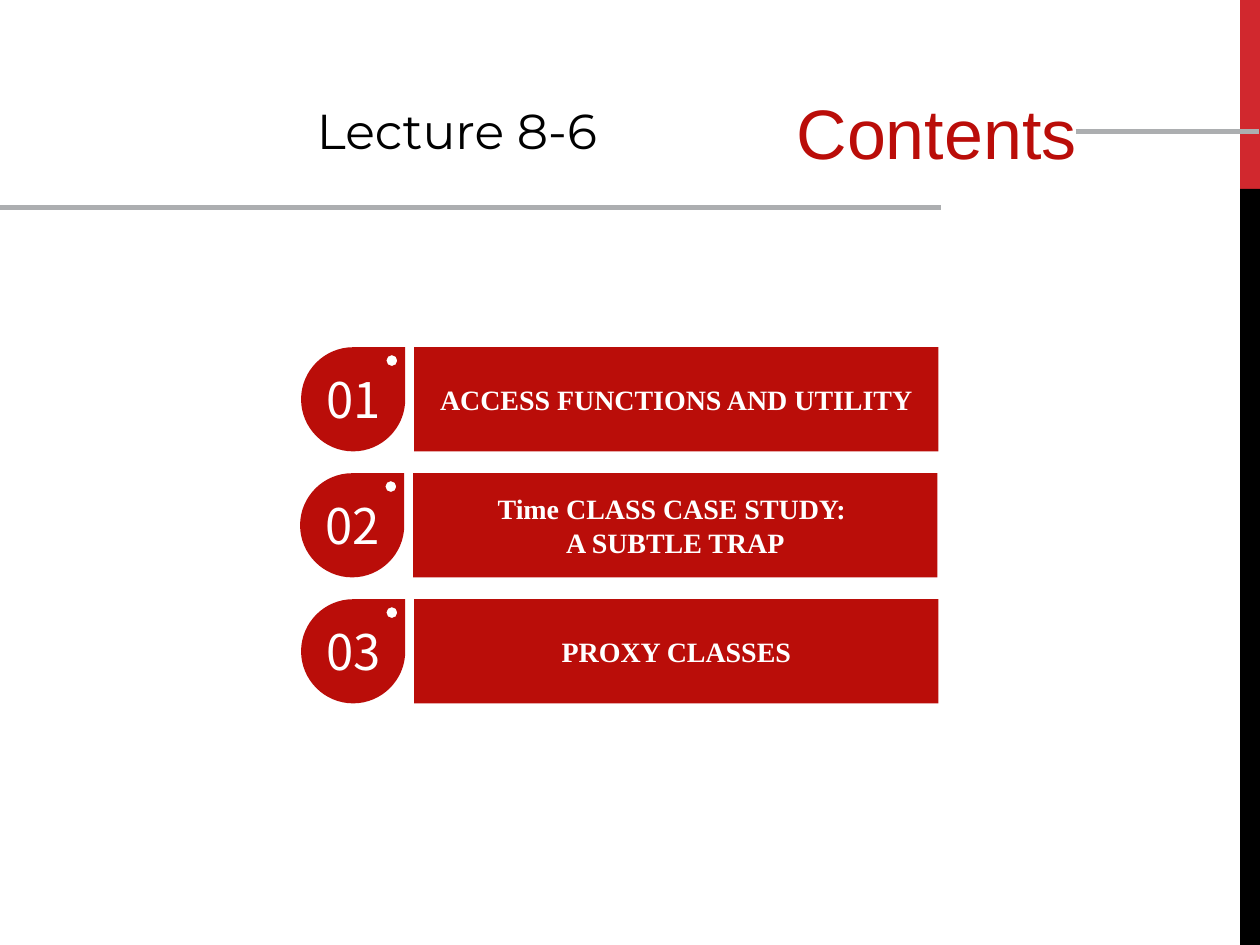
from dataclasses import dataclass

from lxml.etree import Element, SubElement
from pptx import Presentation
from pptx.dml.color import RGBColor
from pptx.enum.shapes import MSO_CONNECTOR, MSO_SHAPE
from pptx.enum.text import MSO_ANCHOR, PP_ALIGN
from pptx.oxml.ns import qn
from pptx.util import Cm, Pt


@dataclass(frozen=True)
class Theme:
    red: str = "BA0D09"
    band: str = "D1282E"
    black: str = "000000"
    gray: str = "ACAEB0"
    white: str = "FFFFFF"
    title: int = 40
    large: int = 28
    label: int = 16
    rule: int = 3


THEME = Theme()
TOPICS = (
    "ACCESS FUNCTIONS AND UTILITY",
    "Time CLASS CASE STUDY: \vA SUBTLE TRAP",
    "PROXY CLASSES",
)
SIDE, STEP = 2.1, 2.54
BEND = 0.55
ROUND = ((1, 0), (1, BEND), (BEND, 1), (0, 1), (-BEND, 1), (-1, BEND),
         (-1, 0), (-1, -BEND), (-BEND, -1), (0, -1), (BEND, -1),
         (1, -BEND), (1, 0))
FLUSH = {f"margin_{side}": 0 for side in ("left", "top", "right", "bottom")}


def apply(item, form):
    for key, value in form.items():
        setattr(item, key, value)


def write(shape, text, color, font, align, frame):
    body = shape.text_frame
    apply(body, frame)
    para = body.paragraphs[0]
    para.text = text
    para.alignment = align
    for run in para.runs:
        apply(run.font, font)
        run.font.color.rgb = RGBColor.from_string(color)


def paint(shape, color):
    shape.shadow.inherit = False
    shape.fill.solid()
    shape.fill.fore_color.rgb = RGBColor.from_string(color)
    shape.line.fill.background()


def add_bar(slide, box, color):
    bar = slide.shapes.add_shape(MSO_SHAPE.RECTANGLE, *map(Cm, box))
    paint(bar, color)
    return bar


def add_text(slide, box, *style):
    write(slide.shapes.add_textbox(*map(Cm, box)), *style)


def add_rule(slide, left, right, top):
    rule = slide.shapes.add_connector(
        MSO_CONNECTOR.STRAIGHT, Cm(left), Cm(top), Cm(right), Cm(top))
    rule.line.color.rgb = RGBColor.from_string(THEME.gray)
    rule.line.width = Pt(THEME.rule)
    SubElement(rule.element.spPr, qn("a:effectLst"))


def trace(x, y, radius):
    return [(Cm(x + radius * across), Cm(y + radius * down))
            for across, down in ROUND]


def curve(lines):
    for start in range(0, len(lines), 3):
        bend = Element(qn("a:cubicBezTo"))
        lines[start].addprevious(bend)
        for line in lines[start:start + 3]:
            bend.append(line[0])
            line.getparent().remove(line)


def add_badge(slide, left, top, text):
    half = SIDE / 2
    drop = trace(left + half, top + half, half)[:10]
    hole = trace(left + 1.83, top + 0.27, 0.11)[::-1]
    pen = slide.shapes.build_freeform(Cm(left + SIDE), Cm(top))
    pen.add_line_segments(drop, close=True)
    pen.move_to(*hole[0])
    pen.add_line_segments(hole[1:], close=True)
    badge = pen.convert_to_shape()
    curve(list(badge.element.iter(qn("a:lnTo")))[1:])
    paint(badge, THEME.red)
    write(badge, text, THEME.white,
          {"name": "Noto Sans CJK JP", "size": Pt(THEME.large)},
          PP_ALIGN.CENTER,
          {"vertical_anchor": MSO_ANCHOR.MIDDLE, "word_wrap": True, **FLUSH})


def add_topic(slide, index, text):
    left = 6.05 if index == 1 else 6.07
    top = 7 + index * STEP
    add_badge(slide, left, top, f"{index + 1:02}")
    bar = add_bar(slide, (left + 2.28, top, 10.57, SIDE), THEME.red)
    write(bar, text, THEME.white,
          {"name": "Times New Roman", "size": Pt(THEME.label), "bold": True},
          PP_ALIGN.CENTER,
          {"vertical_anchor": MSO_ANCHOR.MIDDLE, "word_wrap": True})


def main():
    deck = Presentation()
    apply(deck, {"slide_width": Cm(25.4), "slide_height": Cm(19.05)})
    slide = deck.slides.add_slide(deck.slide_layouts[6])
    add_bar(slide, (25, 0, 0.4, 3.81), THEME.band)
    add_bar(slide, (25, 3.81, 0.4, 15.24), THEME.black)
    add_text(slide, (12.73, 1.8, 9.22, 2.95), "Contents", THEME.red,
             {"name": "Arial", "size": Pt(THEME.title)}, PP_ALIGN.RIGHT,
             {"word_wrap": True, "margin_top": 0})
    add_rule(slide, 21.69, 25.38, 2.65)
    add_rule(slide, -0.03, 18.97, 4.18)
    add_text(slide, (6.14, 1.9, 6.73, 1.45), "Lecture 8-6", THEME.black,
             {"name": "Montserrat", "size": Pt(THEME.large)}, PP_ALIGN.LEFT,
             {"word_wrap": False})
    for index, text in enumerate(TOPICS):
        add_topic(slide, index, text)
    deck.save("out.pptx")


if __name__ == "__main__":
    main()
